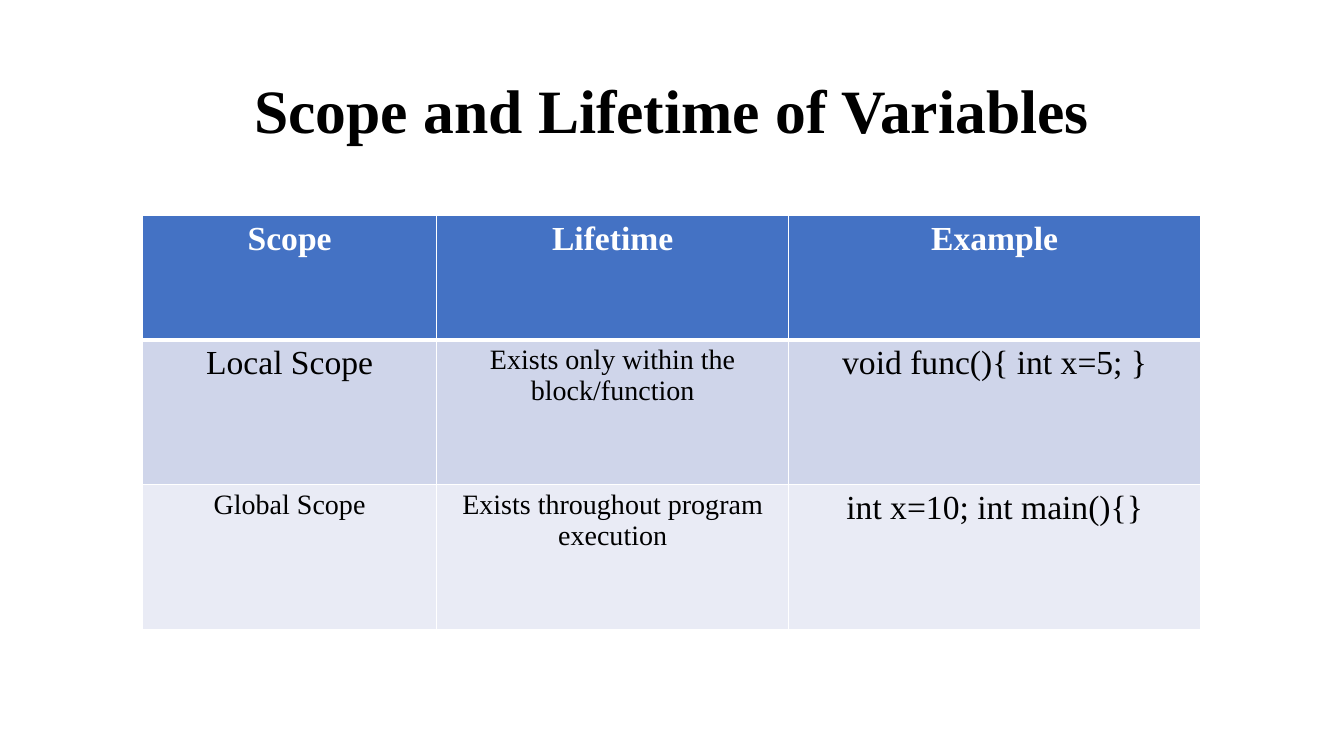
from dataclasses import dataclass

import pptx
import pptx.dml.color
import pptx.enum.text
import pptx.oxml
import pptx.oxml.ns
import pptx.util
from pptx.util import Pt


@dataclass(frozen=True)
class Theme:
    font: str = "Times New Roman"
    text: str = "000000"
    header_text: str = "FFFFFF"
    border: str = "FFFFFF"
    header_fill: str = "4472C4"
    band_fills: tuple = ("CFD5EA", "E9EBF5")
    title_size: int = 44
    large_size: int = 24
    small_size: int = 20


THEME = Theme()
TITLE = "Scope and Lifetime of Variables"
HEADERS = ("Scope", "Lifetime", "Example")
LARGE, SMALL = THEME.large_size, THEME.small_size
ROWS = (
    (("Local Scope", LARGE), ("Exists only within the block/function", SMALL),
     ("void func(){ int x=5; }", LARGE)),
    (("Global Scope", SMALL), ("Exists throughout program execution", SMALL),
     ("int x=10; int main(){}", LARGE)),
)
COLUMN_WIDTHS = (210.24, 251.28, 294.48)
ROW_HEIGHTS = (88.56, 103.68, 103.68)


def rgb(color):
    return pptx.dml.color.RGBColor.from_string(color)


def write_text(text_frame, text, size, color, bold):
    text_frame.text = text
    paragraph = text_frame.paragraphs[0]
    paragraph.alignment = pptx.enum.text.PP_ALIGN.CENTER
    font = paragraph.runs[0].font
    font.name = THEME.font
    font.size = Pt(size)
    font.bold = bold
    font.color.rgb = rgb(color)


def set_title(slide):
    title = slide.shapes.title
    title.left, title.top = Pt(66), Pt(28.75)
    title.width, title.height = Pt(828), Pt(104.4)
    text_frame = title.text_frame
    write_text(text_frame, TITLE, THEME.title_size, THEME.text, True)
    text_frame.paragraphs[0].line_spacing = 0.9
    text_frame.vertical_anchor = pptx.enum.text.MSO_ANCHOR.MIDDLE


def set_borders(cell, top, bottom):
    properties = cell._tc.get_or_add_tcPr()
    for side, width in (("L", 1), ("R", 1), ("T", top), ("B", bottom)):
        properties.append(pptx.oxml.parse_xml(
            f'<a:ln{side} {pptx.oxml.ns.nsdecls("a")} w="{Pt(width)}">'
            f'<a:solidFill><a:srgbClr val="{THEME.border}"/></a:solidFill>'
            f'</a:ln{side}>'))


def fill_cell(cell, color):
    cell.fill.solid()
    cell.fill.fore_color.rgb = rgb(color)


def add_scope_table(slide):
    frame = slide.shapes.add_table(
        len(ROW_HEIGHTS), len(COLUMN_WIDTHS), Pt(101.8), Pt(154.1),
        Pt(sum(COLUMN_WIDTHS)), Pt(sum(ROW_HEIGHTS)))
    table = frame.table
    for column, width in zip(table.columns, COLUMN_WIDTHS):
        column.width = Pt(width)
    for row, height in zip(table.rows, ROW_HEIGHTS):
        row.height = Pt(height)

    for index, header in enumerate(HEADERS):
        cell = table.cell(0, index)
        set_borders(cell, 1, 3)
        fill_cell(cell, THEME.header_fill)
        write_text(cell.text_frame, header, LARGE, THEME.header_text, True)

    for row_index, (entries, fill) in enumerate(zip(ROWS, THEME.band_fills), 1):
        for index, (text, size) in enumerate(entries):
            cell = table.cell(row_index, index)
            set_borders(cell, 3 if row_index == 1 else 1, 1)
            fill_cell(cell, fill)
            write_text(cell.text_frame, text, size, THEME.text, False)


def main():
    presentation = pptx.Presentation()
    presentation.slide_width = Pt(960)
    presentation.slide_height = Pt(540)
    slide = presentation.slides.add_slide(presentation.slide_layouts[5])
    set_title(slide)
    add_scope_table(slide)
    presentation.save("out.pptx")


if __name__ == "__main__":
    main()
